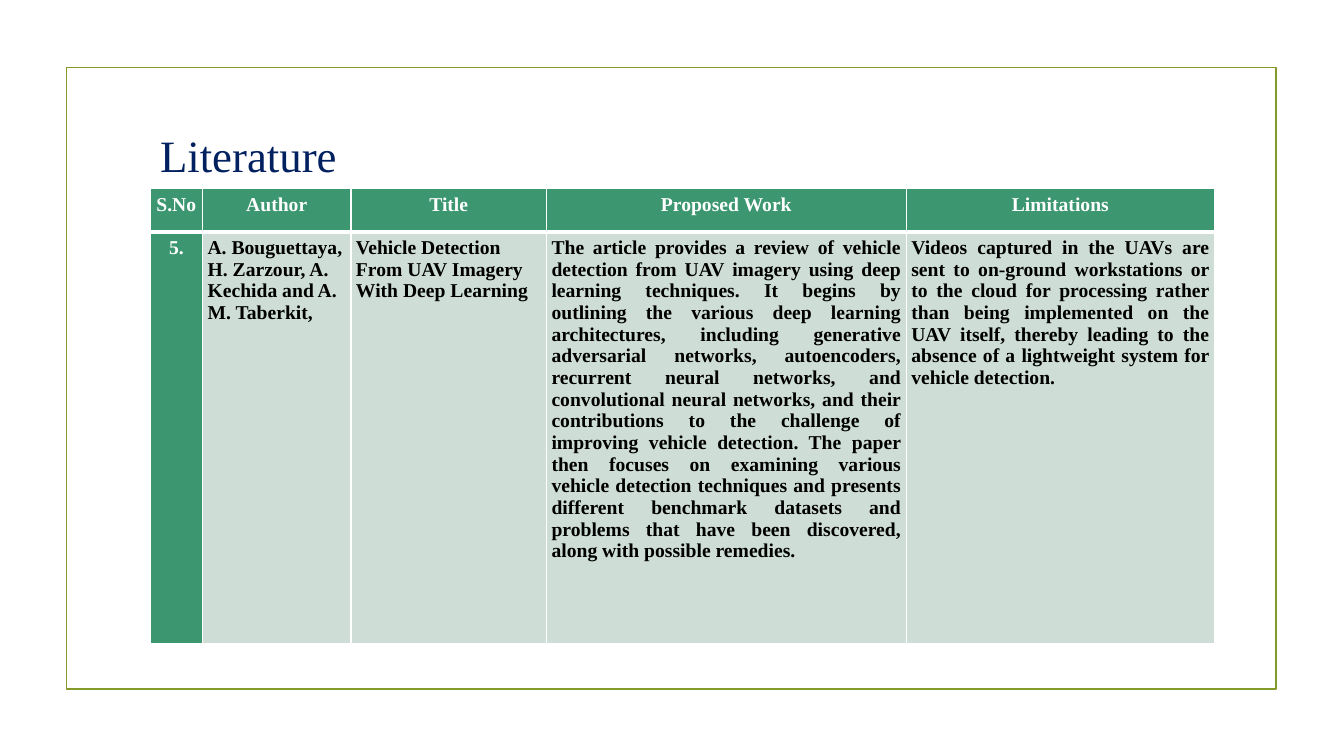
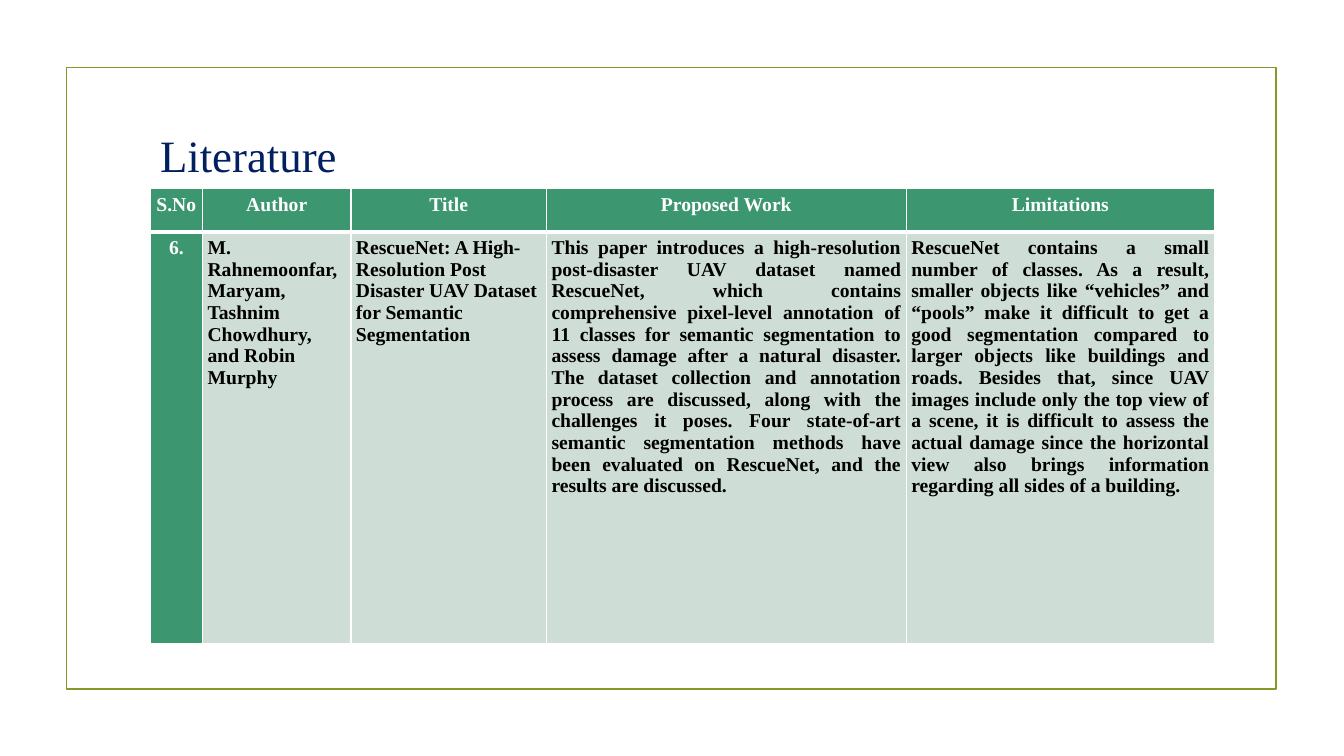
import pptx
import pptx.util
import pptx.dml.color
import pptx.enum.shapes
import pptx.enum.text
import pptx.oxml
import pptx.oxml.ns

Pt = pptx.util.Pt
Align = pptx.enum.text.PP_ALIGN

TITLE = "Literature"
HEADS = ["S.No", "Author", "Title", "Proposed Work", "Limitations"]
PAPERS = [
    [
        "5.",
        "A. Bouguettaya, H. Zarzour, A. Kechida and A. M. Taberkit,",
        "Vehicle Detection From UAV Imagery With Deep Learning",
        "The article provides a review of vehicle detection from UAV imagery "
        "using deep learning techniques. It begins by outlining the various "
        "deep learning architectures, including generative adversarial "
        "networks, autoencoders, recurrent neural networks, and convolutional "
        "neural networks, and their contributions to the challenge of "
        "improving vehicle detection. The paper then focuses on examining "
        "various vehicle detection techniques and presents different "
        "benchmark datasets and problems that have been discovered, along "
        "with possible remedies.",
        "Videos captured in the UAVs are sent to on-ground workstations or to "
        "the cloud for processing rather than being implemented on the UAV "
        "itself, thereby leading to the absence of a lightweight system for "
        "vehicle detection.",
    ],
    [
        "6.",
        "M. Rahnemoonfar, Maryam, Tashnim Chowdhury, and Robin Murphy",
        "RescueNet: A High-Resolution Post Disaster UAV Dataset for Semantic "
        "Segmentation",
        "This paper introduces a high-resolution post-disaster UAV dataset "
        "named RescueNet, which contains comprehensive pixel-level annotation "
        "of 11 classes for semantic segmentation to assess damage after a "
        "natural disaster. The dataset collection and annotation process are "
        "discussed, along with the challenges it poses. Four state-of-art "
        "semantic segmentation methods have been evaluated on RescueNet, and "
        "the results are discussed.",
        "RescueNet contains a small number of classes. As a result, smaller "
        "objects like “vehicles” and “pools” make it difficult to get a good "
        "segmentation compared to larger objects like buildings and roads. "
        "Besides that, since UAV images include only the top view of a scene, "
        "it is difficult to assess the actual damage since the horizontal "
        "view also brings information regarding all sides of a building.",
    ],
]


class Theme:
    font = "Times New Roman"
    frame, title = "83992A", "002060"
    head, body = "3C9770", "CEDDD5"
    light, dark = "FFFFFF", "000000"
    big, small = 32, 14
    edge, thin, thick = 1.25, 1, 3


SIZE = (960, 540)
FRAME = (47.5, 48.2, 864, 444)
LEFT = 107.3
TITLE_BOX = (LEFT, 87.5, 230, 46)
TABLE_TOP = 134.8
COLS = [37.4, 106, 139.7, 257, 220.2]
ROWS = [31, 293.8]
ALIGNS = [Align.CENTER, Align.LEFT, Align.LEFT, Align.JUSTIFY, Align.JUSTIFY]
INSET = 3.6


def rgb(code):
    return pptx.dml.color.RGBColor.from_string(code)


def write(frame, text, size, color, bold=False, align=Align.LEFT):
    para = frame.paragraphs[0]
    para.alignment = align
    run = para.add_run()
    run.text = text
    font = run.font
    font.name, font.size, font.bold = Theme.font, Pt(size), bold
    font.color.rgb = rgb(color)


def border(cell, widths):
    """Draw light cell edges; widths maps each side (L, R, T, B) to points."""
    props = cell._tc.get_or_add_tcPr()
    for spot, (side, width) in enumerate(widths.items()):
        line = pptx.oxml.parse_xml(
            f'<a:ln{side} {pptx.oxml.ns.nsdecls("a")} w="{Pt(width)}">'
            f'<a:solidFill><a:srgbClr val="{Theme.light}"/></a:solidFill>'
            f'</a:ln{side}>'
        )
        props.insert(spot, line)


def add_frame(slide):
    kind = pptx.enum.shapes.MSO_SHAPE.RECTANGLE
    box = slide.shapes.add_shape(kind, *map(Pt, FRAME))
    box.shadow.inherit = False
    box.fill.background()
    box.line.color.rgb = rgb(Theme.frame)
    box.line.width = Pt(Theme.edge)


def add_title(slide):
    frame = slide.shapes.add_textbox(*map(Pt, TITLE_BOX)).text_frame
    frame.word_wrap = True
    write(frame, TITLE, Theme.big, Theme.title)


def add_grid(slide, paper):
    area = map(Pt, (LEFT, TABLE_TOP, sum(COLS), sum(ROWS)))
    grid = slide.shapes.add_table(len(ROWS), len(COLS), *area).table
    grid.first_col = True
    grid.horz_banding = False
    for col, width in zip(grid.columns, COLS):
        col.width = Pt(width)
    for row, height in zip(grid.rows, ROWS):
        row.height = Pt(height)
    for r, texts in enumerate([HEADS, paper]):
        for c, text in enumerate(texts):
            cell = grid.cell(r, c)
            cell.margin_left = cell.margin_right = Pt(INSET)
            cell.margin_top = cell.margin_bottom = Pt(INSET)
            head = r == 0 or c == 0
            cell.fill.solid()
            cell.fill.fore_color.rgb = rgb(Theme.head if head else Theme.body)
            color = Theme.light if head else Theme.dark
            align = Align.CENTER if head else ALIGNS[c]
            write(cell.text_frame, text, Theme.small, color, True, align)
            widths = dict.fromkeys("LRTB", Theme.thin)
            widths["B" if r == 0 else "T"] = Theme.thick
            border(cell, widths)


def main():
    deck = pptx.Presentation()
    deck.slide_width, deck.slide_height = map(Pt, SIZE)
    for paper in PAPERS:
        slide = deck.slides.add_slide(deck.slide_layouts[6])
        add_frame(slide)
        add_title(slide)
        add_grid(slide, paper)
    deck.save("out.pptx")


if __name__ == "__main__":
    main()
